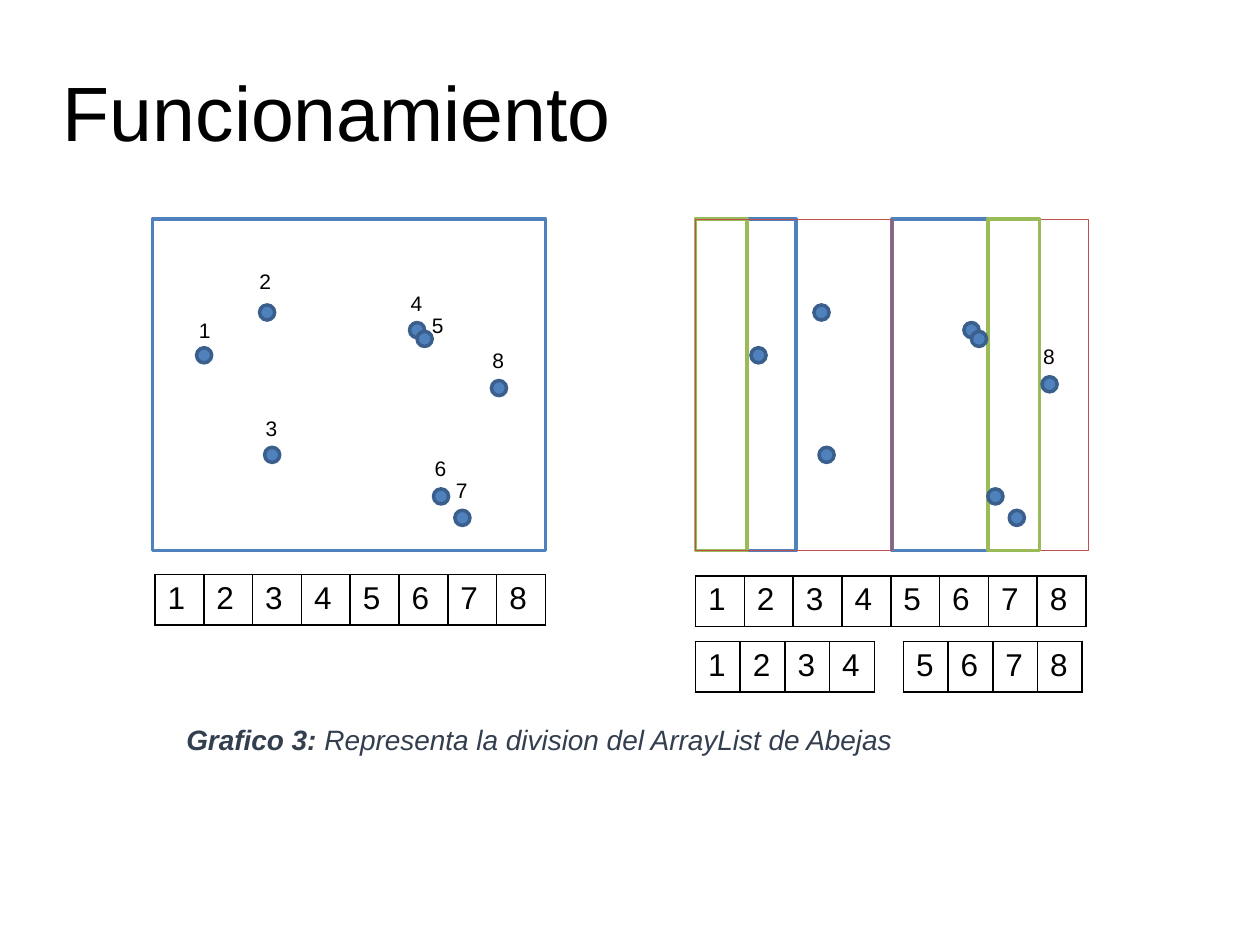
from pptx import Presentation
from pptx.dml.color import RGBColor
from pptx.enum.shapes import MSO_SHAPE
from pptx.enum.text import MSO_ANCHOR
from pptx.oxml import parse_xml
from pptx.oxml.ns import nsdecls
from pptx.util import Inches, Pt

THEME = {
    "font": "Arial",
    "ink": "000000", "caption_ink": "333F4F", "paper": "FFFFFF",
    "blue": "4F81BD", "dark_blue": "3A5F8C", "red": "C0504D", "green": "9BBB59",
    "title": 44, "cell": 18, "caption": 16, "label": 12,
}

presentation = Presentation()
presentation.slide_width, presentation.slide_height = Inches(10), Inches(7.5)
slide = presentation.slides.add_slide(presentation.slide_layouts[6])


def write(paragraph, text, size, ink="ink", **formats):
    run = paragraph.add_run()
    run.text = text
    run.font.color.rgb = RGBColor.from_string(THEME[ink])
    for attribute, value in {"name": THEME["font"], "size": Pt(THEME[size]), **formats}.items():
        setattr(run.font, attribute, value)


def draw(preset, left, top, width, height, fill, line, weight):
    outline = slide.shapes.add_shape(
        preset, Inches(left), Inches(top), Inches(width), Inches(height))
    outline.shadow.inherit = False
    if fill:
        outline.fill.solid()
        outline.fill.fore_color.rgb = RGBColor.from_string(THEME[fill])
    else:
        outline.fill.background()
    outline.line.color.rgb = RGBColor.from_string(THEME[line])
    outline.line.width = Pt(weight)


title = slide.shapes.add_textbox(Inches(0.5), Inches(0.3), Inches(9), Inches(1.25)).text_frame
title_format = {"word_wrap": True, "vertical_anchor": MSO_ANCHOR.MIDDLE, "margin_left": 0,
                "margin_right": 0, "margin_top": 0, "margin_bottom": 0}
for attribute, value in title_format.items():
    setattr(title, attribute, value)
title.paragraphs[0].line_spacing = 0.9
write(title.paragraphs[0], "Funcionamiento", "title")

regions = [
    (1.21, 3.12, "paper", "blue", 2),
    (5.52, 3.12, None, "red", 0.75),
    (5.52, 0.8, "paper", "blue", 2),
    (7.08, 0.8, "paper", "blue", 2),
    (5.52, 0.41, "paper", "green", 2),
    (7.84, 0.41, "paper", "green", 2),
    (5.52, 1.56, None, "red", 0.75),
]
for left, width, fill, line, weight in regions:
    draw(MSO_SHAPE.RECTANGLE, left, 1.74, width, 2.63, fill, line, weight)

bees = [(1.56, 2.76), (2.06, 2.42), (2.1, 3.55), (3.25, 2.56),
        (3.31, 2.63), (3.44, 3.88), (3.61, 4.05)]
panel_shift = 4.4
shifted_bees = [(left + panel_shift, top) for left, top in bees]
for left, top in bees + [(3.9, 3.02)] + shifted_bees + [(8.27, 2.99)]:
    draw(MSO_SHAPE.OVAL, left, top, 0.12, 0.12, "blue", "dark_blue", 2)

labels = [
    ("1", 1.48, 2.47), ("2", 1.96, 2.08), ("3", 2.01, 3.25),
    ("4", 3.16, 2.26), ("5", 3.33, 2.43), ("6", 3.35, 3.57),
    ("7", 3.52, 3.74), ("8", 3.81, 2.71), ("8", 8.18, 2.68),
]
for number, left, top in labels:
    label = slide.shapes.add_textbox(
        Inches(left), Inches(top), Inches(0.41), Inches(0.3)).text_frame
    label.word_wrap = True
    write(label.paragraphs[0], number, "label")

arrays = [
    ("12345678", 1.23, 4.56, 3.1, 0.38),
    ("12345678", 5.52, 4.57, 3.1, 0.38),
    ("1234", 5.52, 5.09, 1.42, 0.4),
    ("5678", 7.17, 5.09, 1.42, 0.4),
]
for numbers, left, top, width, height in arrays:
    array = slide.shapes.add_table(1, len(numbers), Inches(left), Inches(top),
                                   Inches(width), Inches(height)).table
    array.first_row = array.horz_banding = False
    for column, number in enumerate(numbers):
        array.columns[column].width = Inches(width / len(numbers))
        cell = array.cell(0, column)
        write(cell.text_frame.paragraphs[0], number, "cell")
        cell_properties = cell._tc.get_or_add_tcPr()
        for side in ("lnL", "lnR", "lnT", "lnB"):
            cell_properties.append(parse_xml(
                f'<a:{side} {nsdecls("a")} w="{Pt(1)}"><a:solidFill>'
                f'<a:srgbClr val="{THEME["ink"]}"/></a:solidFill></a:{side}>'))
        cell.fill.background()

caption = slide.shapes.add_textbox(
    Inches(1.38), Inches(5.55), Inches(8.62), Inches(0.67)).text_frame
caption.word_wrap = True
caption.vertical_anchor = MSO_ANCHOR.MIDDLE
caption.paragraphs[0].line_spacing = 0.9
for text, bold in [("Grafico 3: ", True),
                   ("Representa la division del ArrayList de Abejas", False)]:
    write(caption.paragraphs[0], text, "caption", "caption_ink", bold=bold, italic=True)

presentation.save("out.pptx")
